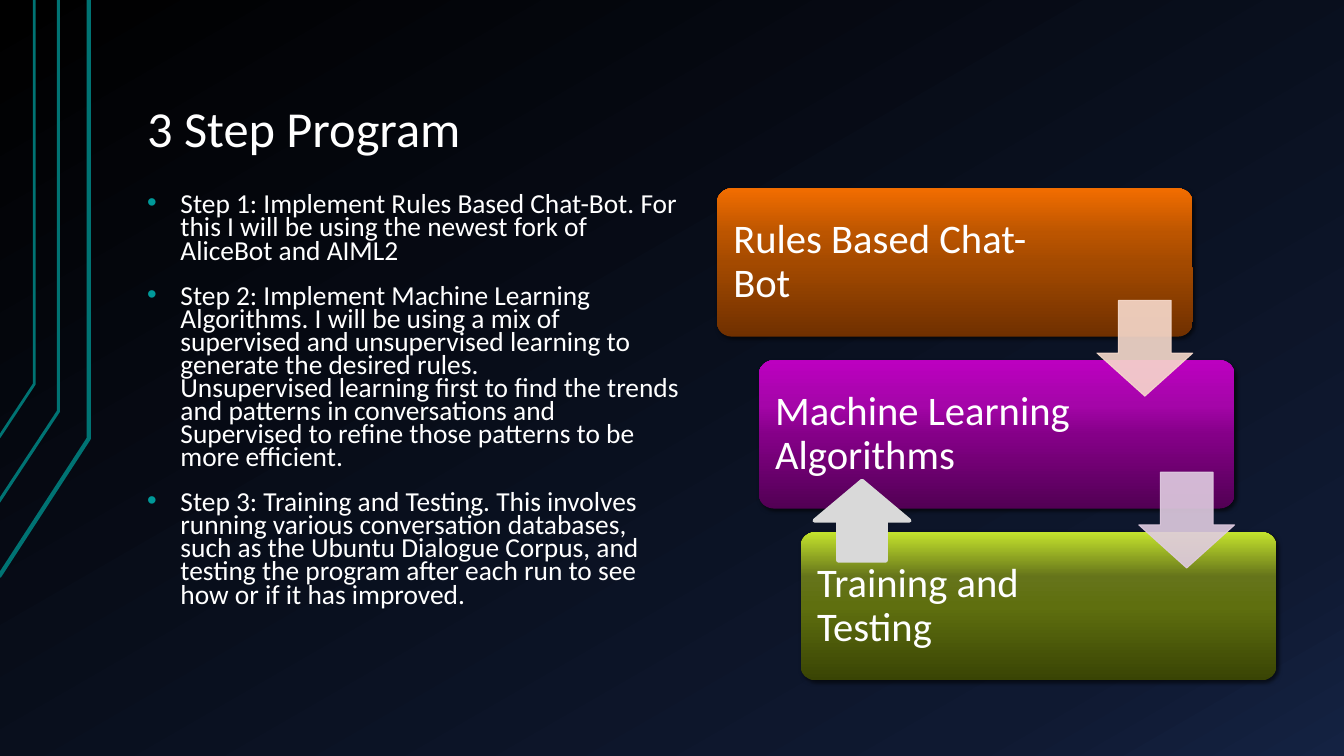
"""Build the "3 Step Program" slide with its descending step diagram."""
from lxml import etree
from pptx import Presentation
from pptx.dml.color import RGBColor
from pptx.enum.shapes import MSO_SHAPE
from pptx.enum.text import MSO_ANCHOR, MSO_AUTO_SIZE, PP_ALIGN
from pptx.oxml.ns import qn
from pptx.util import Inches, Pt

ROUNDED = MSO_SHAPE.ROUNDED_RECTANGLE
DOWN_ARROW, UP_ARROW = MSO_SHAPE.DOWN_ARROW, MSO_SHAPE.UP_ARROW
TOP, MIDDLE, BOTTOM = MSO_ANCHOR.TOP, MSO_ANCHOR.MIDDLE, MSO_ANCHOR.BOTTOM
NO_AUTOFIT, LEFT = MSO_AUTO_SIZE.NONE, PP_ALIGN.LEFT

FONT, WHITE, TEAL, BULLET_COLOR, GREY = "Calibri", "FFFFFF", "007373", "009999", "D9D9D9"
TITLE = "3 Step Program"
DETAILS = [
    "Step 1: Implement Rules Based Chat-Bot. For this I will be using the newest fork of "
    "AliceBot and AIML2",
    "Step 2: Implement Machine Learning Algorithms. I will be using a mix of supervised and "
    "unsupervised learning to generate the desired rules. \vUnsupervised learning first to find "
    "the trends and patterns in conversations and Supervised to refine those patterns to be "
    "more efficient.",
    "Step 3: Training and Testing. This involves running various conversation databases, such "
    "as the Ubuntu Dialogue Corpus, and testing the program after each run to see how or if it "
    "has improved.",
]
BACKGROUND = [(0, "000000"), (85, "0F1931"), (100, "142242")]
STEPS = [
    ("Rules Based Chat-Bot",
     [(0, "703000"), (50, "A44A00"), (70, "BC5500"), (100, "F26D00")]),
    ("Machine Learning Algorithms",
     [(0, "520054"), (50, "850088"), (70, "A505A9"), (100, "BC00C0")]),
    ("Training and Testing",
     [(0, "394404"), (50, "5F6F0F"), (70, "65741A"), (100, "C4E32D")]),
]
DOWN_COLORS = ["F7DACC", "E0CCE1"]
CIRCUIT_LINES = [
    ([(-0.01, 5.72), (0.88, 4.35), (0.88, 0)], 3),
    ([(-0.02, 4.99), (0.58, 4.08), (0.58, 0)], 2.25),
    ([(-0.01, 4.34), (0.34, 3.81), (0.34, 0)], 2),
]
SLIDE_WIDTH, SLIDE_HEIGHT = 13.33, 7.5
TEXT_LEFT, CONTENT_TOP = 1.33, 1.87
STEP_LEFT, STEP_WIDTH, STEP_HEIGHT = 7.11, 4.72, 1.47
STEP_SHIFT, STEP_PITCH = 0.415, 1.705
ARROW_SIZE, ARROW_DROP = 0.95, 1.11


def color(value):
    """Turn a hex string into a colour."""
    return RGBColor.from_string(value)


def add_element(parent, tag, **attributes):
    """Append a DrawingML element."""
    return etree.SubElement(parent, qn(tag), {key: str(value) for key, value in attributes.items()})


def set_gradient(fill, owner, stops, angle):
    """Fill with a linear gradient of any number of stops."""
    fill.gradient()
    gradient = next(owner.iter(qn("a:gradFill")))
    for child in list(gradient):
        gradient.remove(child)
    stop_list = add_element(gradient, "a:gsLst")
    for position, value in stops:
        stop = add_element(stop_list, "a:gs", pos=position * 1000)
        add_element(stop, "a:srgbClr", val=value)
    add_element(gradient, "a:lin", ang=angle * 60000, scaled=0)


def write_text(shape, texts, size, anchor=TOP, insets=(0.13, 0.07, 0.13, 0.07),
               line_spacing=0.9, space_before=0, bullet=False):
    """Write one formatted paragraph per text."""
    frame = shape.text_frame
    frame.word_wrap, frame.auto_size, frame.vertical_anchor = True, NO_AUTOFIT, anchor
    frame.margin_left, frame.margin_top, frame.margin_right, frame.margin_bottom = map(Inches, insets)
    for index, text in enumerate(texts):
        paragraph = frame.add_paragraph() if index else frame.paragraphs[0]
        paragraph.text = text
        paragraph.alignment, paragraph.line_spacing = LEFT, line_spacing
        paragraph.space_before = Pt(space_before if index else 0)
        if bullet:
            properties = paragraph._p.get_or_add_pPr()
            properties.set("marL", str(Inches(0.33)))
            properties.set("indent", str(-Inches(0.33)))
            add_element(add_element(properties, "a:buClr"), "a:srgbClr", val=BULLET_COLOR)
            add_element(properties, "a:buFont", typeface="Arial")
            add_element(properties, "a:buChar", char="•")
        for run in paragraph.runs:
            run.font.name, run.font.size = FONT, Pt(size)
            run.font.color.rgb = color(WHITE)


def add_circuit_line(slide, points, width):
    """Draw one open bent line at the left edge."""
    corners = [(Inches(x), Inches(y)) for x, y in points]
    builder = slide.shapes.build_freeform(*corners[0])
    builder.add_line_segments(corners[1:], close=False)
    shape = builder.convert_to_shape()
    shape.shadow.inherit = False
    shape.fill.background()
    shape.line.color.rgb, shape.line.width = color(TEAL), Pt(width)


def add_step(slide, left, top, text, stops):
    """Draw one gradient step box with its label."""
    shape = slide.shapes.add_shape(ROUNDED, *map(Inches, (left, top, STEP_WIDTH, STEP_HEIGHT)))
    shape.adjustments[0] = 0.1
    set_gradient(shape.fill, shape._element, stops, 270)
    shape.line.fill.background()
    shape.shadow.inherit = False
    effects = shape._element.spPr.find(qn("a:effectLst"))
    shadow = add_element(effects, "a:outerShdw", blurRad=Pt(3), dist=Pt(2), dir=45 * 60000,
                         algn="ctr", rotWithShape=0)
    add_element(add_element(shadow, "a:srgbClr", val="000000"), "a:alpha", val=60000)
    write_text(shape, [text], 29, MIDDLE, insets=(0.12, 0.12, 1.5, 0.12))


def add_arrow(slide, kind, box, value, line_width, adjustments=(0.5, 0.5), opacity=100):
    """Draw one block arrow."""
    shape = slide.shapes.add_shape(kind, *map(Inches, box))
    shape.adjustments[0], shape.adjustments[1] = adjustments
    shape.shadow.inherit = False
    shape.fill.solid()
    shape.fill.fore_color.rgb = shape.line.color.rgb = color(value)
    shape.line.width = Pt(line_width)
    if opacity < 100:
        for tone in shape._element.spPr.iter(qn("a:srgbClr")):
            add_element(tone, "a:alpha", val=opacity * 1000)


def main():
    """Compose and save the slide."""
    presentation = Presentation()
    presentation.slide_width, presentation.slide_height = Inches(SLIDE_WIDTH), Inches(SLIDE_HEIGHT)
    slide = presentation.slides.add_slide(presentation.slide_layouts[5])
    set_gradient(slide.background.fill, slide.element, BACKGROUND, 60)
    for points, width in CIRCUIT_LINES:
        add_circuit_line(slide, points, width)

    title = slide.shapes.title
    title.left, title.top, title.width, title.height = map(Inches, (TEXT_LEFT, 0.3, 11.33, 1.34))
    write_text(title, [TITLE], 36, BOTTOM)
    details = slide.shapes.add_textbox(*map(Inches, (TEXT_LEFT, CONTENT_TOP, 5.55, 4.88)))
    write_text(details, DETAILS, 19.6, line_spacing=0.7, space_before=16, bullet=True)

    corners = [(STEP_LEFT + i * STEP_SHIFT, CONTENT_TOP + i * STEP_PITCH) for i in range(len(STEPS))]
    for (left, top), (text, stops) in zip(corners, STEPS):
        add_step(slide, left, top, text, stops)
    for (left, top), value in zip(corners, DOWN_COLORS):
        box = (left + STEP_WIDTH - ARROW_SIZE, top + ARROW_DROP, ARROW_SIZE, ARROW_SIZE)
        add_arrow(slide, DOWN_ARROW, box, value, 0.75, (0.55, 0.45), 90)
    add_arrow(slide, UP_ARROW, (8.08, 4.77, 0.94, 0.79), GREY, 3)
    presentation.save("out.pptx")


if __name__ == "__main__":
    main()
